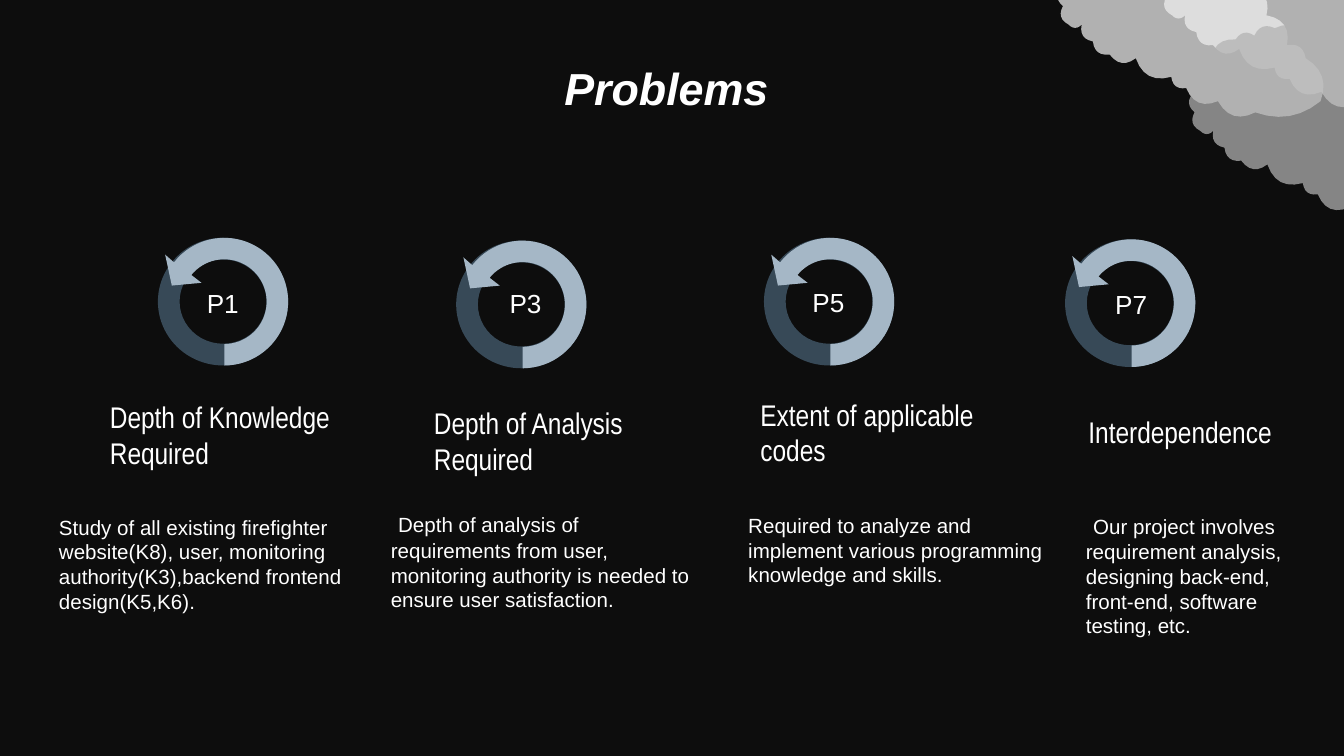
"""Builds the "Problems" slide: four numbered rings with headings and details."""
import math
from dataclasses import dataclass

from lxml import etree
from pptx import Presentation
from pptx.dml.color import RGBColor
from pptx.enum import shapes, text
from pptx.oxml import ns
from pptx.util import Pt

BLACK = RGBColor(0x0D, 0x0D, 0x0D)
WHITE = RGBColor(0xFF, 0xFF, 0xFF)
SLATE = RGBColor(0x37, 0x49, 0x57)
STEEL = RGBColor(0xA5, 0xB7, 0xC6)
PALE = RGBColor(0xEE, 0xEE, 0xEE)
GREY = RGBColor(0xB2, 0xB2, 0xB2)

CLOUD_CUSPS = [
    (48, 0), (37, 4), (27, 6), (14, 18), (5, 26), (4, 35), (5, 45), (8, 55), (15, 55),
    (21, 64), (30, 71), (44, 73), (63, 83), (71, 89), (88, 96), (108, 102), (143, 96),
    (135, 73), (125, 66), (114, 50), (105, 35), (98, 28), (89, 21), (76, 15), (65, 6),
]


@dataclass
class Problem:
    """One column: its wording and where its parts stand."""
    label: str
    label_top: float
    ring: tuple
    heading: str
    heading_box: tuple
    detail: str
    detail_box: tuple
    lead: str = ""


PROBLEMS = [
    Problem("P1", 150.5, (84.6, 127.4),
            "Depth of Knowledge Required", (51.8, 210.2, 154.8, 46.1),
            "Study of all existing firefighter website(K8), user, monitoring "
            "authority(K3),backend frontend design(K5,K6).", (24.5, 272.2, 178.6, 60.5)),
    Problem("P3", 150.5, (244.4, 128.9),
            "Depth of Analysis Required", (225.4, 213.1, 154.8, 46.1),
            "Depth of analysis of requirements from user, monitoring authority is "
            "needed to ensure user satisfaction.", (202.3, 267.8, 182.2, 64.1), " "),
    Problem("P5", 149.8, (409.3, 127.4),
            "Extent of applicable codes", (400.3, 208.8, 154.8, 46.1),
            "Required to analyze and implement various programming knowledge and skills.",
            (393.8, 271.4, 182.2, 47.5)),
    Problem("P7", 151.2, (570.6, 128.2),
            "Interdependence", (576, 218.2, 113.8, 26.6),
            "Our project involves requirement analysis, designing back-end, front-end, "
            "software testing, etc.", (574.6, 268.6, 135.4, 77.8), " "),
]


def scallops(cusps, steps=6):
    """Join neighbouring cusps with curves that bulge outwards."""
    points = []
    for (x, y), (end_x, end_y) in zip(cusps, cusps[1:] + cusps[:1]):
        dx, dy = end_x - x, end_y - y
        chord = math.hypot(dx, dy)
        bulge = min(0.25 * chord, 5) / chord
        for step in range(steps):
            t = step / steps
            rise = 4 * bulge * t * (1 - t)
            points.append((x + dx * t - dy * rise, y + dy * t + dx * rise))
    return points


def arc(radius, start, end, steps=48):
    """Points on a circle about the origin, with angles in degrees."""
    angles = [math.radians(start + (end - start) * i / steps) for i in range(steps + 1)]
    return [(radius * math.cos(a), radius * math.sin(a)) for a in angles]


def paint(shape, color):
    """Give a shape a flat fill with no line and no shadow."""
    shape.shadow.inherit = False
    shape.fill.solid()
    shape.fill.fore_color.rgb = color
    shape.line.fill.background()


def add_outline(container, points, left, top, color):
    """Add a filled freeform with its own origin at left and top."""
    first, *others = [(Pt(x), Pt(y)) for x, y in points]
    builder = container.build_freeform(*first, scale=1.0)
    builder.add_line_segments(others, close=True)
    shape = builder.convert_to_shape(Pt(left), Pt(top))
    paint(shape, color)
    return shape


def add_cloud(slide, left, top, color):
    """Add one see-through cloud."""
    cloud = add_outline(slide.shapes, scallops(CLOUD_CUSPS), left, top, color)
    tint = cloud.element.spPr.find(".//" + ns.qn("a:srgbClr"))
    etree.SubElement(tint, ns.qn("a:alpha"), val="73000")


def add_ring(slide, left, top):
    """Add a dark ring with a lighter arrow running round it."""
    parts = slide.shapes.add_group_shape().shapes
    ring = parts.add_shape(shapes.MSO_SHAPE.DONUT, Pt(left), Pt(top), Pt(69.8), Pt(68.4))
    ring.adjustments[0] = 0.17
    paint(ring, SLATE)
    head = [(-31.7, -25.2), (-28.1, -8.6), (-12.2, -10.1)]
    arrow = arc(34.2, 90, -142) + head + arc(22.7, -141, 90)
    add_outline(parts, arrow, left + 35.6, top + 34.2, STEEL)


def add_run(paragraph, words, size, font="Arial"):
    """Append one white run and return it."""
    run = paragraph.add_run()
    run.text = words
    run.font.name = font
    run.font.size = Pt(size)
    run.font.color.rgb = WHITE
    return run


def add_label(slide, box, *runs):
    """Add a wrapping text box made of (words, size, font) runs."""
    frame = slide.shapes.add_textbox(*map(Pt, box)).text_frame
    frame.word_wrap = True
    frame.auto_size = text.MSO_AUTO_SIZE.SHAPE_TO_FIT_TEXT
    for run in runs:
        add_run(frame.paragraphs[0], *run)


def set_title(slide, words):
    """Place and format the title."""
    title = slide.shapes.title
    title.left, title.top, title.width, title.height = map(Pt, (82.8, 25.2, 555.1, 38.2))
    frame = title.text_frame
    frame.auto_size = text.MSO_AUTO_SIZE.NONE
    frame.vertical_anchor = text.MSO_ANCHOR.TOP
    frame.margin_left = frame.margin_right = frame.margin_top = frame.margin_bottom = Pt(7.2)
    frame.paragraphs[0].alignment = text.PP_ALIGN.CENTER
    run = add_run(frame.paragraphs[0], words, 24)
    run.font.bold = run.font.italic = True


def main():
    """Build and save the slide."""
    deck = Presentation()
    deck.slide_width, deck.slide_height = Pt(720), Pt(405)
    slide = deck.slides.add_slide(deck.slide_layouts[5])
    slide.background.fill.solid()
    slide.background.fill.fore_color.rgb = BLACK
    set_title(slide, "Problems ")
    for left, top, color in ((619.9, -46.8, PALE), (564.5, -41.8, PALE), (635, 15.1, GREY)):
        add_cloud(slide, left, top, color)
    for column, problem in enumerate(PROBLEMS):
        add_ring(slide, *problem.ring)
        add_label(slide, (103.7 + 162.2 * column, problem.label_top, 35.3, 24.5),
                  (problem.label, 14))
        add_label(slide, problem.heading_box, (problem.heading, 16, "Arial Narrow"))
        lead = [(problem.lead, 14)] if problem.lead else []
        add_label(slide, problem.detail_box, *lead, (problem.detail, 11))
    deck.save("out.pptx")


if __name__ == "__main__":
    main()
